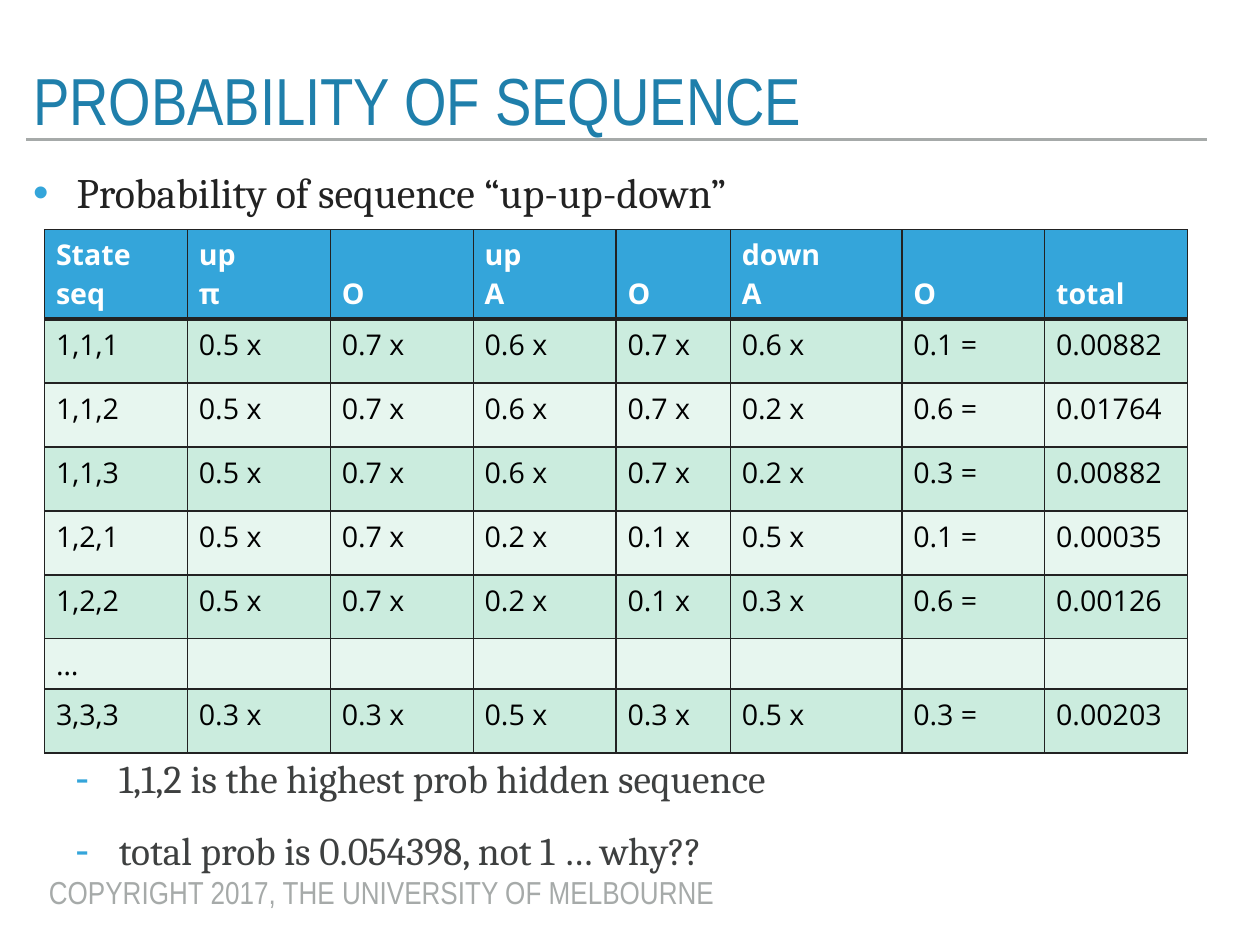
import pptx
import pptx.dml.color
import pptx.enum.shapes
import pptx.enum.text
import pptx.oxml
import pptx.oxml.ns
import pptx.util
from pptx.util import Inches

BLUE, INK, GREY = "34A5DA", "222222", "A6AAA9"
HEADINGS = ["State seq", "up\vπ", "\vO", "up\vA", "\vO", "down\vA", "\vO", "\vtotal"]
SEQUENCES = [
    ["1,1,1", "0.5 x", "0.7 x", "0.6 x", "0.7 x", "0.6 x", "0.1 =", "0.00882"],
    ["1,1,2", "0.5 x", "0.7 x", "0.6 x", "0.7 x", "0.2 x", "0.6 =", "0.01764"],
    ["1,1,3", "0.5 x", "0.7 x", "0.6 x", "0.7 x", "0.2 x", "0.3 =", "0.00882"],
    ["1,2,1", "0.5 x", "0.7 x", "0.2 x", "0.1 x", "0.5 x", "0.1 =", "0.00035"],
    ["1,2,2", "0.5 x", "0.7 x", "0.2 x", "0.1 x", "0.3 x", "0.6 =", "0.00126"],
    ["…"] + [""] * 7,
    ["3,3,3", "0.3 x", "0.3 x", "0.5 x", "0.3 x", "0.5 x", "0.3 =", "0.00203"],
]
COLUMN_WIDTHS = [1.25, 1.25, 1.25, 1.25, 1, 1.5, 1.25, 1.25]
ROW_HEIGHTS = [0.78, 0.56, 0.56, 0.56, 0.56, 0.56, 0.44, 0.56]


def rgb(color):
    return pptx.dml.color.RGBColor.from_string(color)


def style(font, name, size, color, bold=False):
    font.name = name
    font.size = pptx.util.Pt(size)
    font.color.rgb = rgb(color)
    font.bold = bold


def set_margins(frame, margin):
    frame.margin_left = frame.margin_right = Inches(margin)
    frame.margin_top = frame.margin_bottom = Inches(margin)


def add_title(page, text):
    title = page.shapes.title
    title.left, title.top = Inches(0.23), Inches(0.6)
    title.width, title.height = Inches(10.34), Inches(0.61)
    frame = title.text_frame
    frame.text = text
    frame.auto_size = pptx.enum.text.MSO_AUTO_SIZE.NONE
    frame.vertical_anchor = pptx.enum.text.MSO_ANCHOR.BOTTOM
    set_margins(frame, 0.06)
    frame.margin_bottom = 0
    para = frame.paragraphs[0]
    para.alignment = pptx.enum.text.PP_ALIGN.LEFT
    para.line_spacing = 0.8
    style(para.runs[0].font, "Arial Narrow", 41.9, "1F7FAB")


def add_rule(page):
    rule = page.shapes.add_connector(
        pptx.enum.shapes.MSO_CONNECTOR.STRAIGHT,
        Inches(0.23), Inches(1.22), Inches(10.56), Inches(1.22))
    rule.line.color.rgb = rgb(GREY)
    rule.line.width = pptx.util.Pt(2)
    properties = rule._element.spPr
    properties.append(pptx.oxml.parse_xml(
        f"<a:effectLst {pptx.oxml.ns.nsdecls('a')}/>"))


def add_bullet(para, mark, indent):
    properties = para._p.get_or_add_pPr()
    properties.set("marL", str(Inches(indent)))
    properties.set("indent", str(-Inches(0.38)))
    names = pptx.oxml.ns.nsdecls("a")
    for element in (f'<a:buClr {names}><a:srgbClr val="{BLUE}"/></a:buClr>',
                    f'<a:buSzPct {names} val="105000"/>',
                    f'<a:buFont {names} typeface="Arial"/>',
                    f'<a:buChar {names} char="{mark}"/>'):
        properties.append(pptx.oxml.parse_xml(element))


def add_bullet_list(page, top, height, lines, mark, indent, size, color):
    box = page.shapes.add_textbox(
        Inches(0.23), Inches(top), Inches(10.34), Inches(height))
    frame = box.text_frame
    frame.word_wrap = True
    set_margins(frame, 0.06)
    frame.text = "\n".join(lines)
    for index, para in enumerate(frame.paragraphs):
        add_bullet(para, mark, indent)
        if index:
            para.space_before = pptx.util.Pt(15.5)
        style(para.runs[0].font, "Cambria", size, color)


def set_borders(cell, top, bottom):
    """Draw the four cell edges, with top and bottom widths in points."""
    properties = cell._tc.get_or_add_tcPr()
    edges = {"lnL": 1, "lnR": 1, "lnT": top, "lnB": bottom}
    for position, (tag, width) in enumerate(edges.items()):
        properties.insert(position, pptx.oxml.parse_xml(
            f'<a:{tag} {pptx.oxml.ns.nsdecls("a")} w="{pptx.util.Pt(width)}">'
            f'<a:solidFill><a:srgbClr val="{INK}"/></a:solidFill></a:{tag}>'))


def fill_cell(cell, text, row):
    header = row == 0
    para = cell.text_frame.paragraphs[0]
    para.text = text
    color = "FFFFFF" if header else "000000"
    style(para.font, "Open Sans", 18, color, header)
    for span in para.runs:
        style(span.font, "Open Sans", 18, color, header)
    cell.fill.solid()
    band = "CBECDE" if row % 2 else "E7F6EF"
    cell.fill.fore_color.rgb = rgb(BLUE if header else band)
    set_borders(cell, 3 if row == 1 else 1, 3 if header else 1)


def add_probability_table(page):
    rows = [HEADINGS] + SEQUENCES
    table = page.shapes.add_table(
        len(rows), len(HEADINGS), Inches(0.39), Inches(2.01),
        Inches(sum(COLUMN_WIDTHS)), Inches(sum(ROW_HEIGHTS))).table
    for column, width in zip(table.columns, COLUMN_WIDTHS):
        column.width = Inches(width)
    for index, (values, height) in enumerate(zip(rows, ROW_HEIGHTS)):
        table.rows[index].height = Inches(height)
        for column, text in enumerate(values):
            fill_cell(table.cell(index, column), text, index)


def add_copyright(page, text):
    box = page.shapes.add_textbox(
        Inches(0.33), Inches(7.62), Inches(6.07), Inches(0.41))
    frame = box.text_frame
    frame.text = text
    frame.word_wrap = False
    para = frame.paragraphs[0]
    para.line_spacing = 0.93
    style(para.runs[0].font, "Arial Narrow", 20, GREY)


def main():
    deck = pptx.Presentation()
    # 28 by 21 centimetres
    deck.slide_width = Inches(28 / 2.54)
    deck.slide_height = Inches(21 / 2.54)
    page = deck.slides.add_slide(deck.slide_layouts.get_by_name("Title Only"))
    add_copyright(page, "COPYRIGHT 2017, THE UNIVERSITY OF MELBOURNE")
    add_rule(page)
    add_title(page, "PROBABILITY OF SEQUENCE")
    add_bullet_list(page, 1.4, 0.6, ["Probability of sequence “up-up-down”"],
                    "•", 0.38, 26.4, INK)
    add_probability_table(page)
    add_bullet_list(page, 6.54, 1.47,
                    ["1,1,2 is the highest prob hidden sequence",
                     "total prob is 0.054398, not 1 … why??"],
                    "-", 0.75, 24.8, "3E4040")
    deck.save("out.pptx")


if __name__ == "__main__":
    main()
